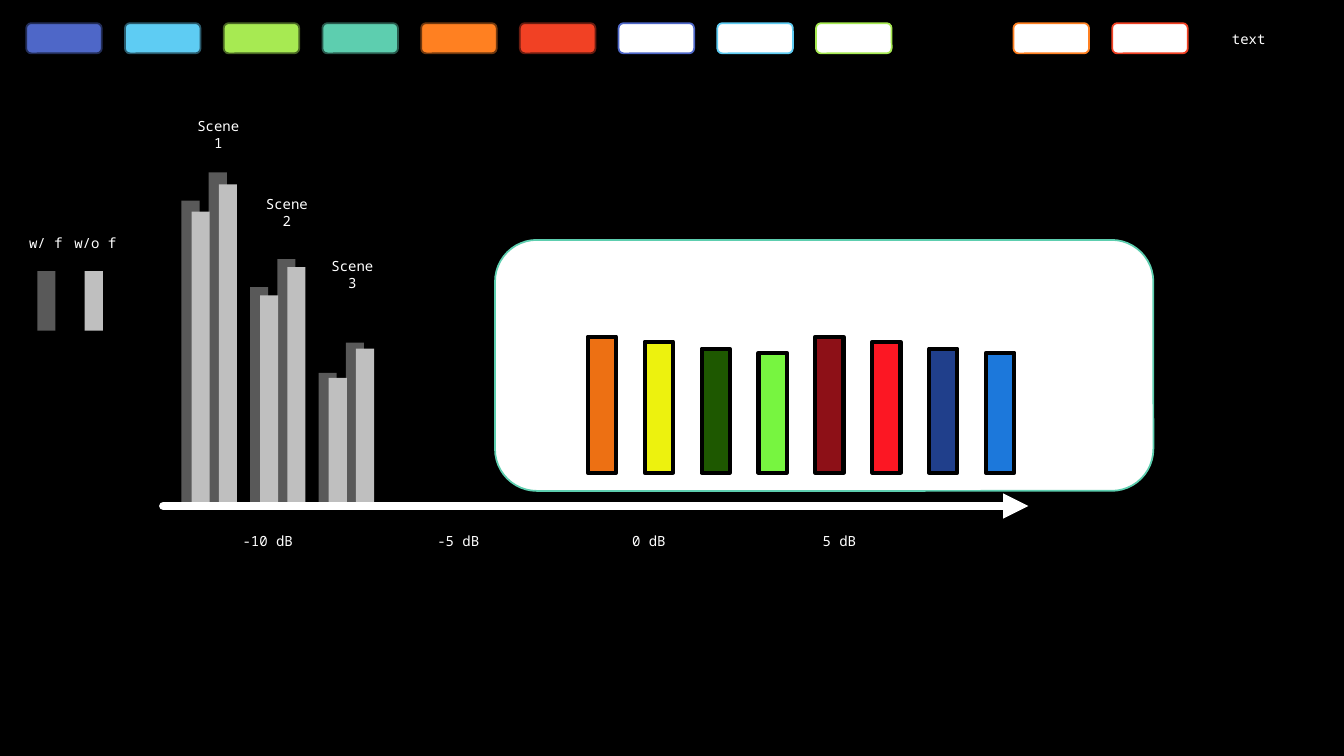
from pptx import Presentation
from pptx import util as u
from pptx.dml.color import RGBColor
from pptx.enum import shapes, text
from pptx.oxml.ns import qn
from lxml import etree

COLORS = {
    "black": "000000", "white": "FFFFFF", "dark": "595959", "light": "BFBFBF",
    "indigo": "4E67C8", "sky": "5ECCF3", "lime": "A7EA52",
    "teal": "5DCEAF", "tangerine": "FF8021", "vermilion": "F14124",
    "indigo edge": "222D58", "sky edge": "29596B", "lime edge": "496724",
    "teal edge": "295A4D", "tangerine edge": "70380E", "vermilion edge": "6A1C10",
    "orange": "ED7013", "yellow": "EDF20E", "forest": "1E5800", "green": "77F540",
    "maroon": "8D1017", "red": "FC1723", "navy": "203F8B", "blue": "1C78DB",
}
COLUMN = 11.75 / 12  # pitch of the swatch row
LEFT, CELL, BAR = 0.26, 0.75, 0.18
AXIS = 5.02

deck = Presentation()
deck.slide_width, deck.slide_height = u.Inches(13.33), u.Inches(7.5)
page = deck.slides.add_slide(deck.slide_layouts[6])
page.background.fill.solid()
page.background.fill.fore_color.rgb = RGBColor.from_string(COLORS["black"])


def add_block(left, top, width, height, fill, edge=None, weight=1.25, rounded=False):
    kind = shapes.MSO_SHAPE.ROUNDED_RECTANGLE if rounded else shapes.MSO_SHAPE.RECTANGLE
    block = page.shapes.add_shape(kind, *map(u.Inches, (left, top, width, height)))
    block.shadow.inherit = False
    block.fill.solid()
    block.fill.fore_color.rgb = RGBColor.from_string(COLORS[fill])
    if edge:
        block.line.color.rgb = RGBColor.from_string(COLORS[edge])
        block.line.width = u.Pt(weight)
    else:
        block.line.fill.background()


def add_label(words, left, top, size=10, color="white", font="Noto Sans Mono"):
    box = page.shapes.add_textbox(*map(u.Inches, (left, top, CELL, 0.27)))
    box.text_frame.word_wrap = True
    box.text_frame.auto_size = text.MSO_AUTO_SIZE.SHAPE_TO_FIT_TEXT
    para = box.text_frame.paragraphs[0]
    para.alignment = text.PP_ALIGN.CENTER
    span = para.add_run()
    span.text = words
    span.font.size, span.font.name = u.Pt(size), font
    span.font.color.rgb = RGBColor.from_string(COLORS[color])


# Swatch row: six filled, then outlined ones with the teal one enlarged as a panel
hues = ["indigo", "sky", "lime", "teal", "tangerine", "vermilion"]
for column, hue in enumerate(hues):
    add_block(LEFT + column * COLUMN, 0.23, CELL, 0.3, hue, hue + " edge", rounded=True)
for column, hue in enumerate(hues, start=len(hues)):
    if hue == "teal":
        add_block(4.91, 2.38, 6.53, 2.49, "white", hue, rounded=True)
    else:
        add_block(LEFT + column * COLUMN, 0.23, CELL, 0.3, "white", hue, rounded=True)
add_label("text", LEFT + 12 * COLUMN, 0.25)

# Scene bars: two pairs per scene, light bars in front of dark ones
bar_heights = {
    "dark": [3.03, 3.31, 2.17, 2.45, 1.32, 1.62],
    "light": [2.92, 3.19, 2.09, 2.37, 1.27, 1.56],
}
for shift, (shade, heights) in zip((0, 0.1), bar_heights.items()):
    for index, height in enumerate(heights):
        scene, pair = divmod(index, 2)
        left = 1.8 + scene * 0.68 + pair * 0.27 + shift
        add_block(left, AXIS - height, BAR, height, shade)
for words, left, top in [("Scene 1", 1.79, 1.12), ("Scene 2", 2.47, 1.89),
                         ("Scene 3", 3.12, 2.51)]:
    add_label(words, left, top)

# Decibel axis
axis = page.shapes.add_connector(
    shapes.MSO_CONNECTOR.STRAIGHT, *map(u.Inches, (1.62, AXIS, 10.2, AXIS)))
axis.line.color.rgb = RGBColor.from_string(COLORS["white"])
axis.line.width = u.Pt(6)
outline = axis.line._get_or_add_ln()
outline.set("cap", "rnd")
etree.SubElement(outline, qn("a:round"))
etree.SubElement(outline, qn("a:tailEnd"), type="triangle")
etree.SubElement(axis._element.spPr, qn("a:effectLst"))
for tick, words in enumerate(["-10 dB", "-5 dB", "0 dB", "5 dB"]):
    add_label(words, 2.28 + tick * 1.89, 5.23)

# Legend
for words, shade, label_left, bar_left in [("w/ f", "dark", 0.08, 0.37),
                                           ("w/o f", "light", 0.57, 0.84)]:
    add_label(words, label_left, 2.28)
    add_block(bar_left, 2.69, BAR, 0.59, shade)

# Coloured bars on the panel: the four heights repeat
panel_hues = ["orange", "yellow", "forest", "green", "maroon", "red", "navy", "blue"]
panel_heights = [1.35, 1.3, 1.23, 1.19] * 2
for index, (hue, height) in enumerate(zip(panel_hues, panel_heights)):
    add_block(5.83 + index * 3.95 / 7, 4.69 - height, 0.28, height, hue, "black", 3)

deck.save("out.pptx")
